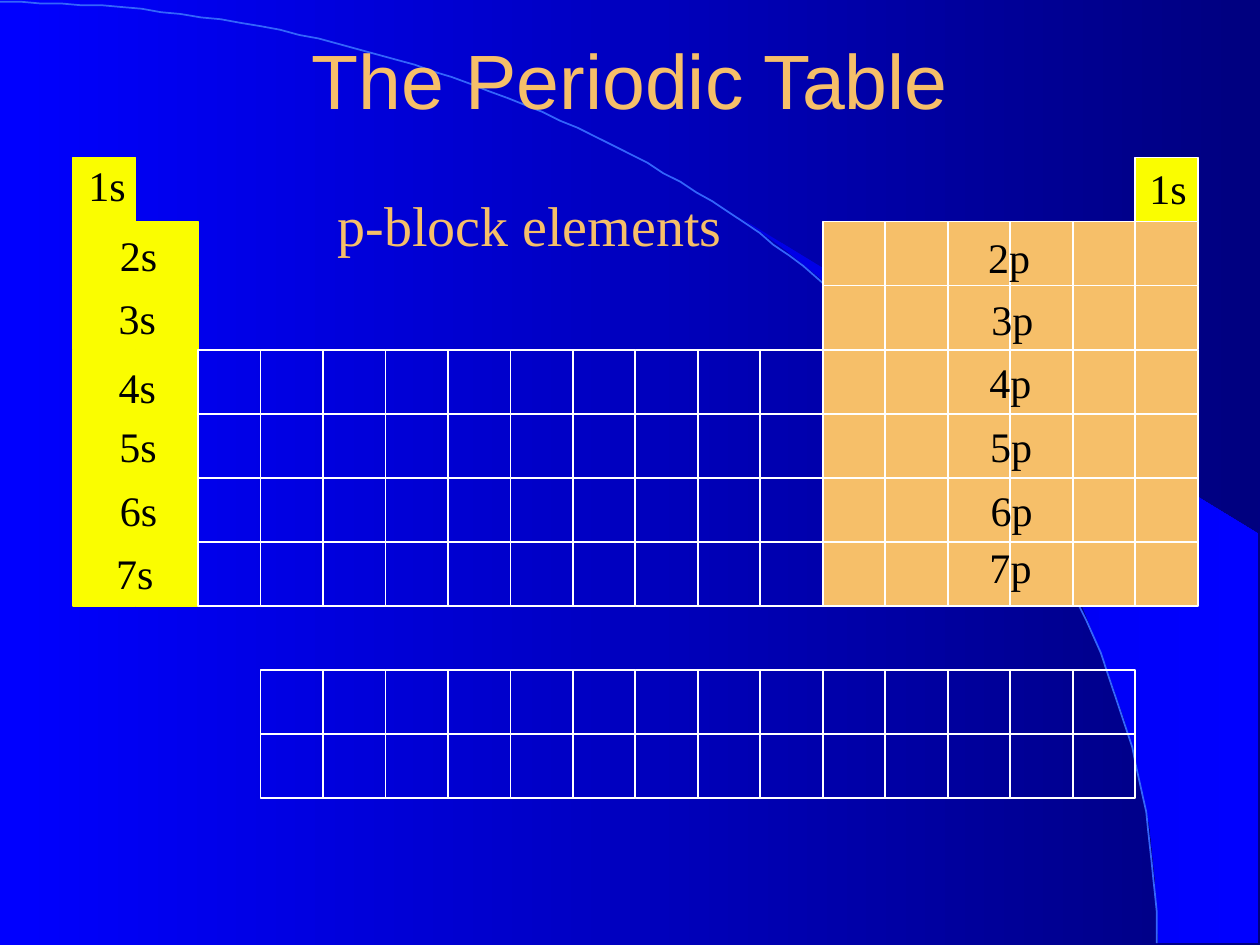
from math import cos, pi, sin

from pptx import Presentation
from pptx.dml.color import RGBColor
from pptx.enum.shapes import MSO_SHAPE as Shape
from pptx.enum.text import MSO_ANCHOR as Anchor, PP_ALIGN as Align
from pptx.util import Pt

GOLD, YELLOW, WHITE, BLACK = "F6BF69", "FAFD00", "FFFFFF", "000000"
SERIF = "Times New Roman"

LEFT, TOP, COL, ROW = 41.8, 90, 35.7, 36.6

# first column, first row, columns, rows, fill, line
BLOCKS = [
    (0, 0, 1, 1, YELLOW, YELLOW),
    (0, 1, 2, 6, YELLOW, YELLOW),
    (2, 3, 10, 4, None, WHITE),
    (12, 1, 6, 6, GOLD, WHITE),
    (17, 0, 1, 1, YELLOW, WHITE),
    (3, 8, 14, 2, None, WHITE),
]

LABELS = [
    ("1s", 31.7, 87.8, 59), ("2s", 57.6, 127.4, 43.2),
    ("3s", 46.1, 163.4, 64.8), ("4s", 54, 203, 49),
    ("5s", 46.1, 236.9, 65.5), ("6s", 41, 273.6, 76.3),
    ("7s", 46.1, 309.6, 61.9), ("1s", 637.2, 89.3, 60.5),
    ("2p", 548.6, 128.9, 56.2), ("3p", 542.2, 164.2, 72.7),
    ("4p", 540.7, 200.2, 73.4), ("5p", 543.6, 236.9, 68.4),
    ("6p", 540.7, 273.6, 74.9), ("7p", 540, 306, 74.9),
]

CRESCENT = [
    (662.4, 538.6), (719.3, 539.3), (719.3, 304.6), (424.1, 124.6),
    (449.3, 143.3), (470.2, 159.8), (493.2, 180), (515.5, 201.6),
    (548.6, 237.6), (578.2, 276.5), (599, 310.3), (617.8, 344.9),
    (632.2, 380.2), (643, 411.8), (650.2, 438.5), (657.4, 472.3),
    (660.2, 501.1),
]
STEPS = 90
ANGLES = [i * pi / 2 / STEPS for i in range(STEPS + 1)]
ARC = [(661 * sin(a), 539.3 - 537.9 * cos(a)) for a in ANGLES]


def color(text):
    return RGBColor.from_string(text)


def blend(fill, *ends):
    fill.gradient()
    fill.gradient_angle = 0
    for stop, end in zip(fill.gradient_stops, ends):
        stop.color.rgb = color(end)


def style(shape, fill, line):
    shape.shadow.inherit = False
    if fill:
        shape.fill.solid()
        shape.fill.fore_color.rgb = color(fill)
    else:
        shape.fill.background()
    shape.line.color.rgb = color(line)
    shape.line.width = Pt(1)


def outline(shapes, points, close):
    pen = shapes.build_freeform(*points[0], scale=Pt(1))
    pen.add_line_segments(points[1:], close=close)
    return pen.convert_to_shape()


def write(shape, text, size, face, ink, align):
    frame = shape.text_frame
    frame.word_wrap = True
    para = frame.paragraphs[0]
    para.text = text
    para.alignment = align
    para.space_before = Pt(0)
    font = para.font
    font.size, font.name, font.color.rgb = Pt(size), face, color(ink)


def place(shape, *box):
    shape.left, shape.top, shape.width, shape.height = map(Pt, box)


def label(shapes, text, x, y, w, h, size, ink, align):
    box = shapes.add_textbox(Pt(x), Pt(y), Pt(w), Pt(h))
    write(box, text, size, SERIF, ink, align)


def main():
    deck = Presentation()
    deck.slide_width, deck.slide_height = Pt(720), Pt(540)
    slide = deck.slides.add_slide(deck.slide_layouts[5])
    shapes = slide.shapes
    blend(slide.background.fill, "0000FF", "00007F")

    moon = outline(shapes, CRESCENT, True)
    moon.shadow.inherit = False
    moon.line.fill.background()
    blend(moon.fill, "0000E5", "0000FF")
    style(outline(shapes, ARC, False), None, "3365FB")

    title = shapes.title
    shapes._spTree.append(title._element)
    place(title, 54, 0, 612, 90)
    write(title, "The Periodic Table", 44, "Arial", GOLD, Align.CENTER)
    title.text_frame.vertical_anchor = Anchor.MIDDLE

    for col, row, wide, high, fill, line in BLOCKS:
        for c in range(col, col + wide):
            for r in range(row, row + high):
                x, y = LEFT + c * COL, TOP + r * ROW
                cell = shapes.add_shape(
                    Shape.RECTANGLE, Pt(x), Pt(y), Pt(COL), Pt(ROW))
                style(cell, fill, line)

    for text, x, y, w in LABELS:
        label(shapes, text, x, y, w, 36, 24, BLACK, Align.CENTER)
    label(shapes, "p-block elements", 185.8, 105.1, 244.8, 45.4, 32, GOLD,
          Align.LEFT)
    deck.save("out.pptx")


if __name__ == "__main__":
    main()
